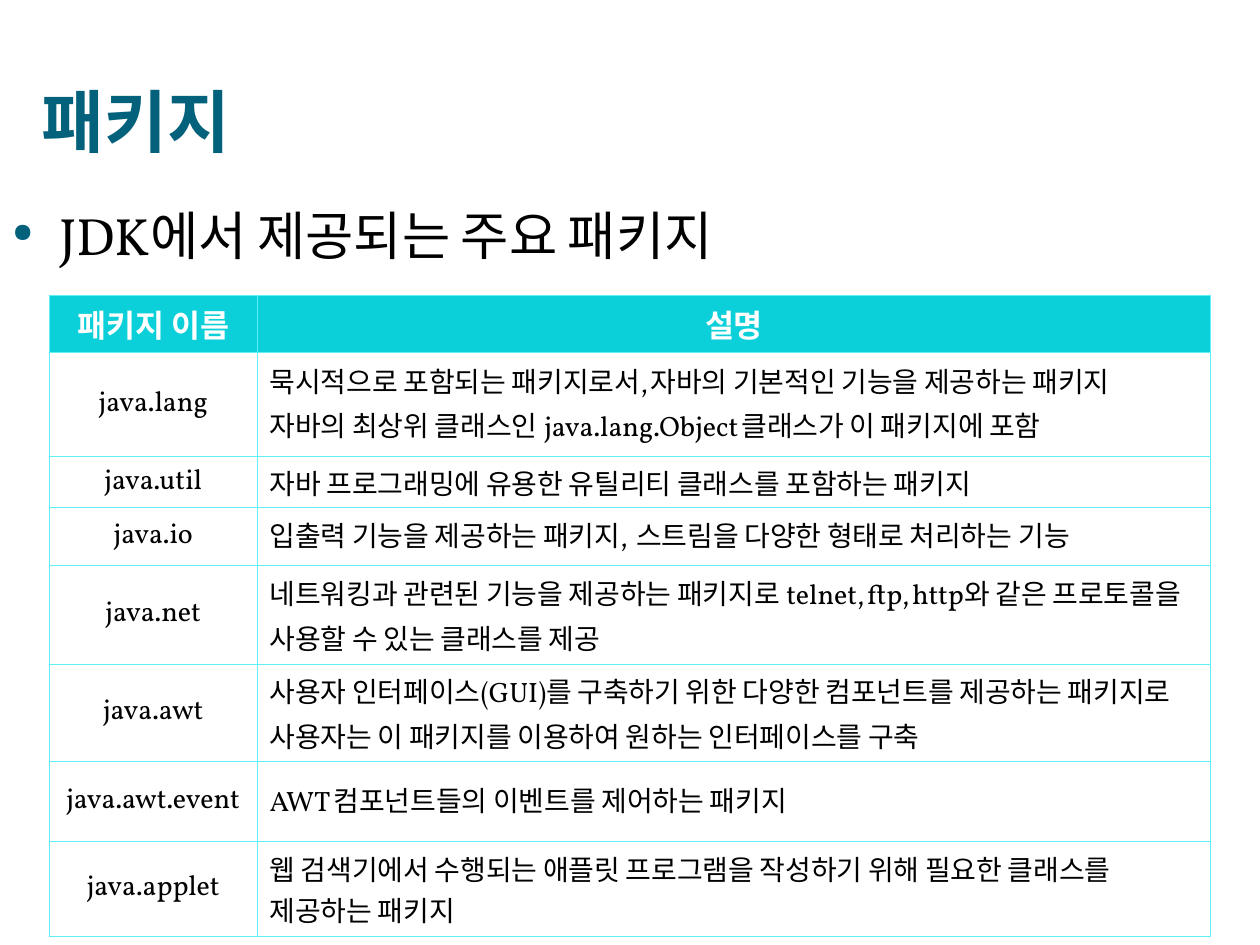
from lxml import etree
from pptx import Presentation
from pptx import util as u
from pptx.dml.color import RGBColor
from pptx.enum import text
from pptx.oxml import ns

COLORS = {"title": "04617B", "header": "0BD0D9", "border": "5EF0F7",
          "white": "FFFFFF", "black": "000000"}
FORMATS = {
    "title": {"name": "Noto Sans", "size": u.Pt(39), "bold": True},
    "body": {"name": "Vollkorn", "size": u.Pt(30), "bold": False},
    "header": {"name": "Vollkorn", "size": u.Pt(18), "bold": True},
    "cell": {"name": "Vollkorn", "size": u.Pt(16), "bold": False},
}
THIN_SPACE = chr(0x2009)
WIDE_GAP = "_"
HEADERS = ["패키지_이름", "설명"]
PACKAGES = [
    ("java.lang", "묵시적으로 포함되는 패키지로서, 자바의 기본적인 기능을 제공하는 패키지\n"
                  "자바의 최상위 클래스인_java.lang.Object 클래스가 이 패키지에 포함"),
    ("java.util", "자바 프로그래밍에 유용한 유틸리티 클래스를 포함하는 패키지"),
    ("java.io", "입출력 기능을 제공하는 패키지,_ 스트림을 다양한 형태로 처리하는_기능"),
    ("java.net", "네트워킹과 관련된 기능을 제공하는 패키지로_telnet, ftp, http와 같은 "
                 "프로토콜을 사용할 수 있는 클래스를 제공"),
    ("java.awt", "사용자 인터페이스(GUI)를 구축하기 위한 다양한 컴포넌트를 제공하는 패키지로_"
                 "사용자는 이 패키지를 이용하여 원하는 인터페이스를 구축"),
    ("java.awt.event", "AWT 컴포넌트들의 이벤트를 제어하는 패키지"),
    ("java.applet", "웹 검색기에서 수행되는 애플릿 프로그램을 작성하기 위해 필요한 클래스를 "
                    "제공하는 패키지"),
]
COLUMN_WIDTHS = [1.65, 7.57]
ROW_HEIGHTS = [0.46, 0.82, 0.41, 0.46, 0.78, 0.77, 0.64, 0.75]


def write_text(frame, content, style, color, alignment):
    frame.text = content.replace(" ", THIN_SPACE).replace(WIDE_GAP, " ")
    for paragraph in frame.paragraphs:
        paragraph.alignment = alignment
        for run in paragraph.runs:
            for name, value in FORMATS[style].items():
                setattr(run.font, name, value)
            run.font.color.rgb = RGBColor.from_string(COLORS[color])


def add_element(parent, tag, **attributes):
    return etree.SubElement(parent, ns.qn(tag), attributes)


def add_bullet(paragraph):
    properties = paragraph._p.get_or_add_pPr()
    indent = u.Inches(0.37)
    properties.set("marL", str(indent))
    properties.set("indent", str(-indent))
    color = add_element(properties, "a:buClr")
    add_element(color, "a:srgbClr", val=COLORS["title"])
    add_element(properties, "a:buSzPct", val="50000")
    add_element(properties, "a:buChar", char="●")


def add_borders(cell):
    properties = cell._tc.get_or_add_tcPr()
    for side in ("a:lnL", "a:lnR", "a:lnT", "a:lnB"):
        line = add_element(properties, side, w=str(u.Pt(0.45)))
        fill = add_element(line, "a:solidFill")
        add_element(fill, "a:srgbClr", val=COLORS["border"])


def place_title(slide, box):
    title = slide.shapes.title
    title.left, title.top, title.width, title.height = box
    frame = title.text_frame
    frame.auto_size = text.MSO_AUTO_SIZE.NONE
    frame.vertical_anchor = text.MSO_ANCHOR.BOTTOM
    write_text(frame, "패키지", "title", "title", text.PP_ALIGN.LEFT)


def add_body(slide, box):
    frame = slide.shapes.add_textbox(*box).text_frame
    frame.word_wrap = True
    write_text(frame, "JDK에서 제공되는 주요 패키지", "body", "black", text.PP_ALIGN.LEFT)
    add_bullet(frame.paragraphs[0])


def add_package_table(slide, box):
    rows = [HEADERS, *PACKAGES]
    table = slide.shapes.add_table(len(rows), len(HEADERS), *box).table
    for column, width in zip(table.columns, COLUMN_WIDTHS):
        column.width = u.Inches(width)
    for row, height in zip(table.rows, ROW_HEIGHTS):
        row.height = u.Inches(height)
    for row_index, contents in enumerate(rows):
        is_header = row_index == 0
        style, color, fill = (("header", "white", "header") if is_header
                              else ("cell", "black", "white"))
        for column_index, content in enumerate(contents):
            cell = table.cell(row_index, column_index)
            centered = is_header or column_index == 0
            alignment = text.PP_ALIGN.CENTER if centered else text.PP_ALIGN.LEFT
            write_text(cell.text_frame, content, style, color, alignment)
            cell.vertical_anchor = text.MSO_ANCHOR.MIDDLE
            add_borders(cell)
            cell.fill.solid()
            cell.fill.fore_color.rgb = RGBColor.from_string(COLORS[fill])


def inches(*lengths):
    return [u.Inches(length) for length in lengths]


def main():
    presentation = Presentation()
    presentation.slide_width, presentation.slide_height = inches(10, 7.5)
    slide = presentation.slides.add_slide(presentation.slide_layouts[5])
    place_title(slide, inches(0.23, 0.21, 9.39, 1.12))
    add_body(slide, inches(0, 1.56, 9.35, 4.82))
    add_package_table(slide, inches(0.39, 2.34, sum(COLUMN_WIDTHS), sum(ROW_HEIGHTS)))
    presentation.save("out.pptx")


if __name__ == "__main__":
    main()
